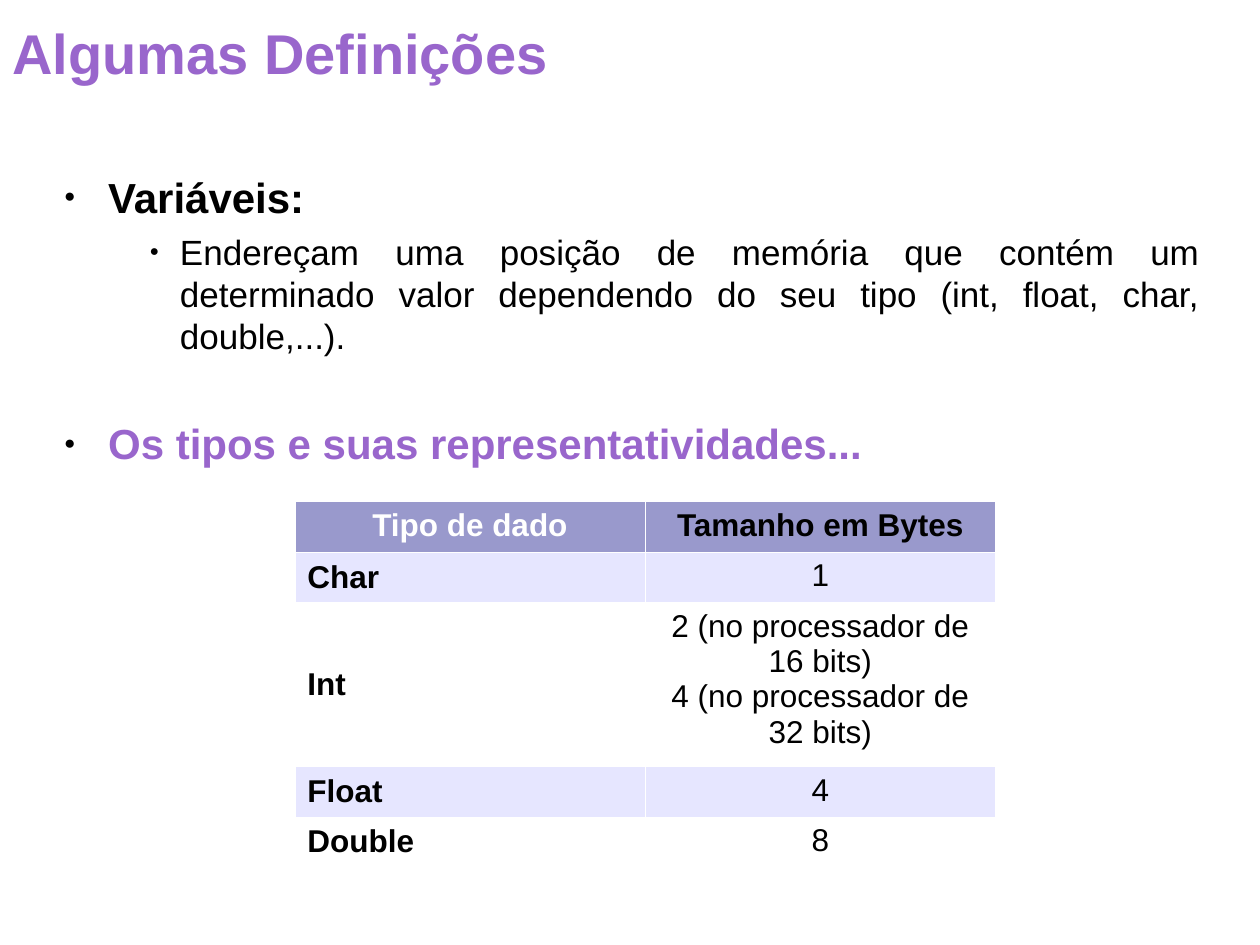
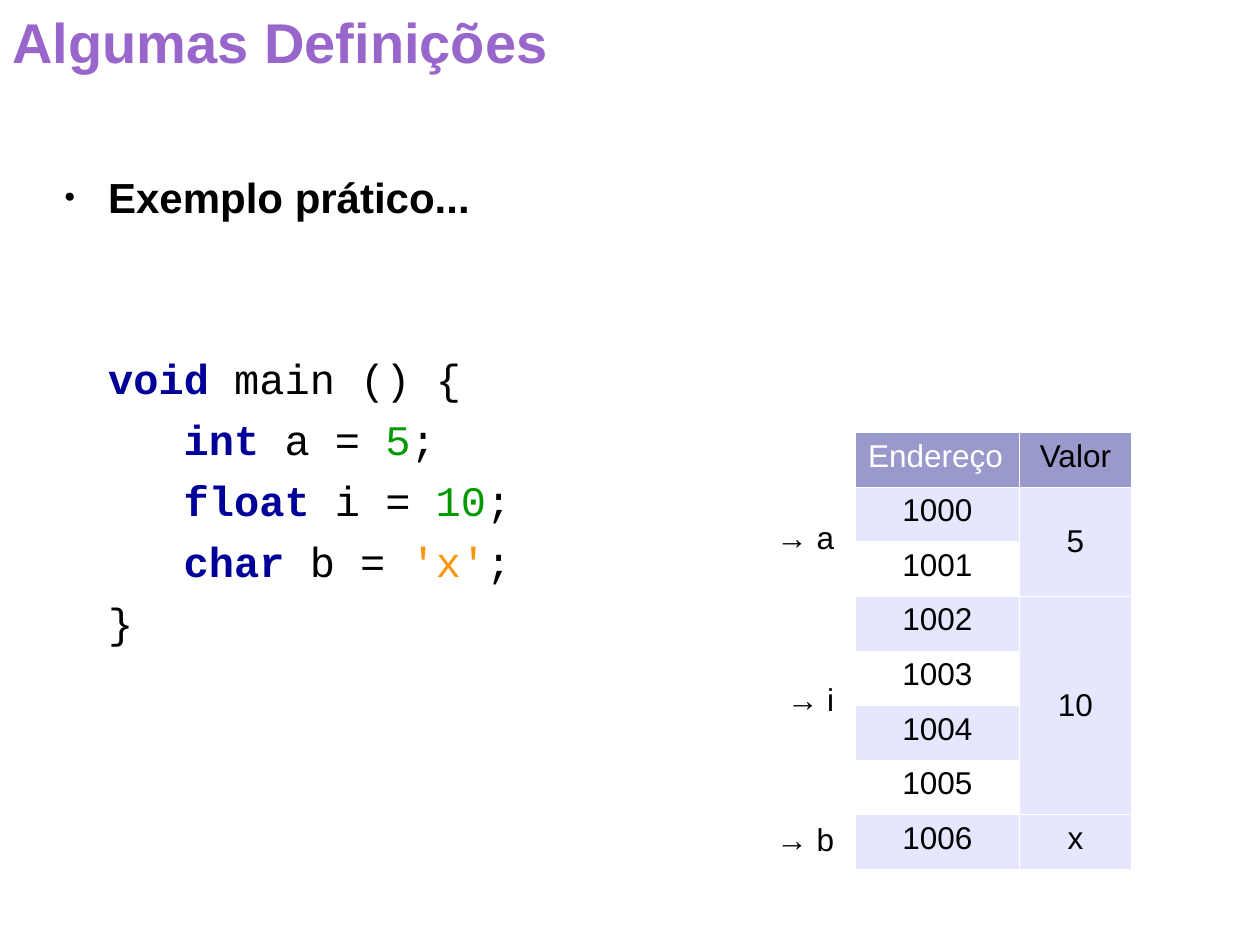
from lxml.etree import SubElement
from pptx import Presentation
from pptx.dml.color import RGBColor
from pptx.enum.text import MSO_ANCHOR, PP_ALIGN
from pptx.oxml.ns import qn
from pptx.util import Inches, Pt

COLORS = {
    "title": "9966CC", "text": "000000", "white": "FFFFFF",
    "header": "9999CC", "band": "E6E6FF",
    "keyword": "000099", "number": "009900", "string": "FF950E",
}
SANS, MONO = "Arial", "Courier New"
BODY_BOX = (0.39, 1.31, 9.23, 5.59)
HEADING_INDENT, DETAIL_INDENT = (0.37, -0.35), (0.94, -0.24)

CODE = [
    [("void ", "keyword"), ("main () {", "text")],
    [("   ", "text"), ("int", "keyword"), (" a = ", "text"), ("5", "number"), (";", "text")],
    [("   ", "text"), ("float", "keyword"), (" i = ", "text"), ("10", "number"), (";", "text")],
    [("   ", "text"), ("char", "keyword"), (" b = ", "text"), ("'x'", "string"), (";", "text")],
    [("}", "text")],
]
TYPE_ROWS = [
    ("Tipo de dado", "Tamanho em Bytes"),
    ("Char", "1"),
    ("Int", "2 (no processador de 16 bits)\n4 (no processador de 32 bits)"),
    ("Float", "4"),
    ("Double", "8"),
]
MEMORY_VALUES = [("5", 2), ("10", 4), ("x", 1)]  # value, bytes taken
FIRST_ADDRESS = 1000


def rgb(name):
    return RGBColor.from_string(COLORS[name])


def style_run(r, size, color="text", bold=False, font=SANS):
    r.font.name, r.font.size, r.font.bold = font, Pt(size), bold
    r.font.color.rgb = rgb(color)


def add_text_frame(s, box, wrap=True):
    tf = s.shapes.add_textbox(*map(Inches, box)).text_frame
    tf.word_wrap = wrap
    return tf


def add_title(s, top):
    tf = add_text_frame(s, (0, top, 9.02, 0.7))
    tf.vertical_anchor = MSO_ANCHOR.MIDDLE
    tf.text = "Algumas Definições"
    style_run(tf.paragraphs[0].runs[0], 32, "title", True)


def add_body_paragraph(tf, indent, before=0, bullet=True):
    """Use the empty first paragraph if there is one, else add another."""
    p = tf.paragraphs[0] if not tf.paragraphs[0].runs else tf.add_paragraph()
    pPr = p._p.get_or_add_pPr()
    left, hanging = indent
    pPr.set("marL", str(Inches(left)))
    pPr.set("indent", str(Inches(hanging) if bullet else 0))
    if bullet:
        clr = SubElement(pPr, qn("a:buClr"))
        SubElement(clr, qn("a:srgbClr"), val=COLORS["text"])
        SubElement(pPr, qn("a:buSzPct"), val="45000")
        SubElement(pPr, qn("a:buFont"), typeface=SANS)
        SubElement(pPr, qn("a:buChar"), char="●")
    p.space_before = Pt(before)
    return p


def add_heading(tf, text, color="text", before=0):
    p = add_body_paragraph(tf, HEADING_INDENT, before)
    p.alignment = PP_ALIGN.JUSTIFY
    p.text = text
    style_run(p.runs[0], 24, color, True)


def add_detail(tf, text):
    p = add_body_paragraph(tf, DETAIL_INDENT, 5)
    p.alignment = PP_ALIGN.JUSTIFY
    p.text = text
    style_run(p.runs[0], 20)


def add_code(tf, lines, gap):
    for i, line in enumerate(lines):
        p = add_body_paragraph(tf, HEADING_INDENT, 6 if i else gap, bullet=False)
        for text, kind in line:
            r = p.add_run()
            r.text = text
            style_run(r, 24, kind, kind == "keyword", MONO)


def add_grid(s, left, top, widths, heights):
    """Add a table with banded fills and thin white borders."""
    table = s.shapes.add_table(len(heights), len(widths), Inches(left), Inches(top),
                               Inches(sum(widths)), Inches(sum(heights))).table
    table.first_row = table.horz_banding = False
    for column, width in zip(table.columns, widths):
        column.width = Inches(width)
    for i, (row, height) in enumerate(zip(table.rows, heights)):
        row.height = Inches(height)
        for cell in row.cells:
            tcPr = cell._tc.get_or_add_tcPr()
            for side in ("a:lnL", "a:lnR", "a:lnT", "a:lnB"):
                ln = SubElement(tcPr, qn(side), w="762")
                SubElement(SubElement(ln, qn("a:solidFill")), qn("a:srgbClr"), val=COLORS["white"])
            cell.fill.solid()
            cell.fill.fore_color.rgb = rgb("header" if i == 0 else "band" if i % 2 else "white")
    return table


def fill_cell(cell, text, color="text", bold=False, align=PP_ALIGN.CENTER, middle=False):
    cell.text_frame.text = text
    cell.vertical_anchor = MSO_ANCHOR.MIDDLE if middle else MSO_ANCHOR.TOP
    for p in cell.text_frame.paragraphs:
        p.alignment = align
        style_run(p.runs[0], 18, color, bold)


def add_type_table(s, left, top):
    table = add_grid(s, left, top, [2.78] * 2, [0.4, 0.4, 1.3, 0.4, 0.4])
    for i, (kind, size) in enumerate(TYPE_ROWS):
        if i == 0:
            fill_cell(table.cell(i, 0), kind, "white", True)
        else:
            fill_cell(table.cell(i, 0), kind, bold=True, align=PP_ALIGN.LEFT, middle=True)
        fill_cell(table.cell(i, 1), size, bold=i == 0)


def add_memory_table(s, left, top):
    count = sum(size for _, size in MEMORY_VALUES)
    table = add_grid(s, left, top, [1.3, 0.89], [3.47 / (count + 1)] * (count + 1))
    fill_cell(table.cell(0, 0), "Endereço", "white", align=PP_ALIGN.LEFT)
    fill_cell(table.cell(0, 1), "Valor")
    for i in range(count):
        fill_cell(table.cell(i + 1, 0), str(FIRST_ADDRESS + i))
    row = 1
    for value, size in MEMORY_VALUES:
        cell = table.cell(row, 1)
        if size > 1:
            cell.merge(table.cell(row + size - 1, 1))
        cell.fill.fore_color.rgb = rgb("band")
        fill_cell(cell, value, middle=size > 1)
        row += size


def add_variable_labels(s, right):
    width = 0.8
    for name, top in [("a", 4.06), ("i", 5.35), ("b", 6.46)]:
        tf = add_text_frame(s, (right - width, top, width, 0.4), wrap=False)
        tf.text = f"→ {name}"
        p = tf.paragraphs[0]
        p.alignment = PP_ALIGN.RIGHT
        style_run(p.runs[0], 18)


def build_types_slide(s):
    add_title(s, 0.06)
    tf = add_text_frame(s, BODY_BOX)
    add_heading(tf, "Variáveis:")
    add_detail(tf, "Endereçam uma posição de memória que contém um determinado valor "
                   "dependendo do seu tipo (int, float, char, double,...).")
    add_heading(tf, "Os tipos e suas representatividades...", "title", before=35)
    add_type_table(s, 2.34, 3.98)


def build_example_slide(s):
    add_title(s, -0.02)
    tf = add_text_frame(s, BODY_BOX)
    add_heading(tf, "Exemplo prático...")
    add_code(tf, CODE, gap=75)
    add_memory_table(s, 6.79, 3.43)
    add_variable_labels(s, 6.72)


def main():
    prs = Presentation()
    prs.slide_width, prs.slide_height = Inches(10), Inches(7.5)
    for build in (build_types_slide, build_example_slide):
        build(prs.slides.add_slide(prs.slide_layouts[6]))
    prs.save("out.pptx")


if __name__ == "__main__":
    main()
